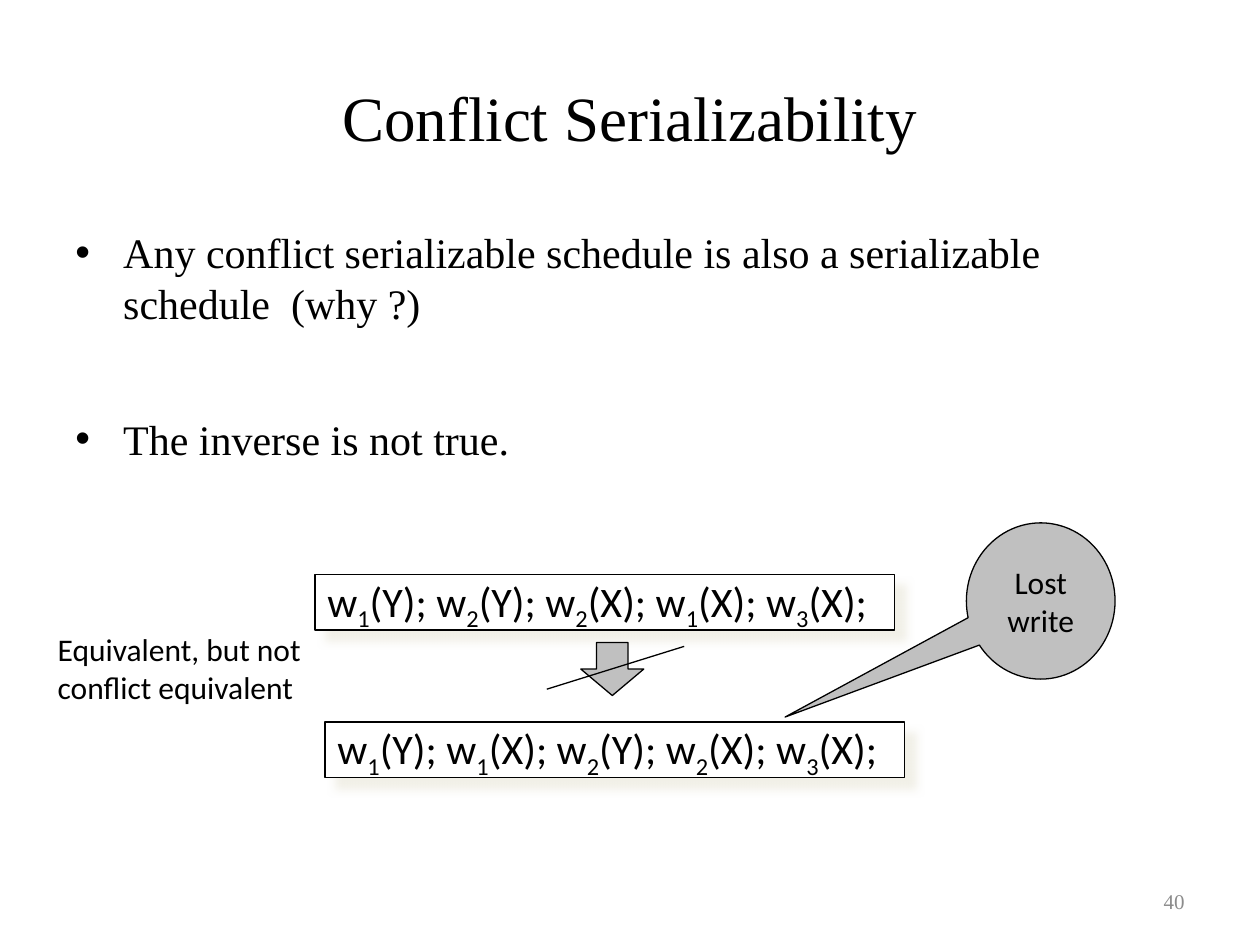
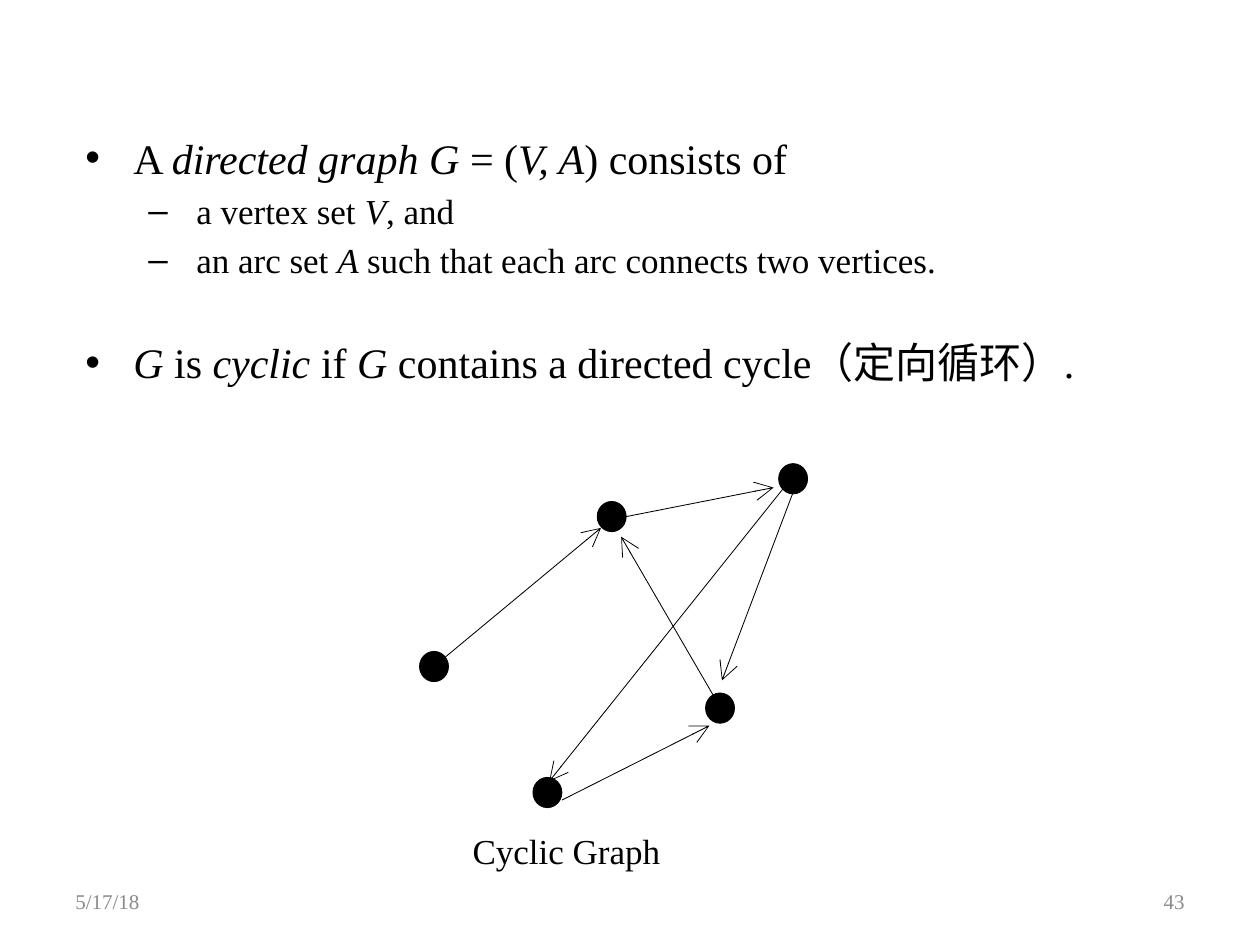
from lxml import etree
from pptx import Presentation
from pptx.dml.color import RGBColor
from pptx.enum.shapes import MSO_CONNECTOR, MSO_SHAPE
from pptx.enum.text import MSO_ANCHOR, PP_ALIGN
from pptx.oxml.ns import qn
from pptx.util import Inches, Pt

BLACK = RGBColor(0x00, 0x00, 0x00)
WHITE = RGBColor(0xFF, 0xFF, 0xFF)
SILVER = RGBColor(0xC0, 0xC0, 0xC0)
FOOTER_GREY = RGBColor(0x8C, 0x8C, 0x8C)
SHADOW_TINT = "EEECE1"
SERIF, SANS = "Times New Roman", "Calibri"
LEFT, CENTER, RIGHT = PP_ALIGN.LEFT, PP_ALIGN.CENTER, PP_ALIGN.RIGHT
TOP, MIDDLE = MSO_ANCHOR.TOP, MSO_ANCHOR.MIDDLE
STRAIGHT = MSO_CONNECTOR.STRAIGHT
RECTANGLE, OVAL = MSO_SHAPE.RECTANGLE, MSO_SHAPE.OVAL
DOWN_ARROW, CALLOUT = MSO_SHAPE.DOWN_ARROW, MSO_SHAPE.OVAL_CALLOUT
TITLE_ONLY, BLANK = 5, 6
THIN, HAIRLINE = 0.75, 0.47
BULLETS = [("•", 24, 0.38, 0.38), ("–", 20, 0.88, 0.38)]
ITALIC, SUBSCRIPT = ("i", "1"), ("baseline", "-25000")


def box_lengths(box):
    """Turn a box of inches into lengths."""
    return [Inches(value) for value in box]


def style(paragraph, font_name, size, color=BLACK, align=LEFT):
    """Set the font and alignment of a paragraph."""
    paragraph.alignment = align
    font = paragraph.font
    font.name, font.size = font_name, Pt(size)
    font.color.rgb = color


def add_marked_runs(paragraph, text, mark, attribute):
    """Add runs, giving the attribute to those between marks."""
    for index, part in enumerate(text.split(mark)):
        if part:
            run = paragraph.add_run()
            run.text = part
            if index % 2:
                run._r.get_or_add_rPr().set(*attribute)


def add_text_box(slide, box, anchor=TOP, wrap=True):
    """Add an empty text box and return its frame."""
    frame = slide.shapes.add_textbox(*box_lengths(box)).text_frame
    frame.word_wrap, frame.vertical_anchor = wrap, anchor
    return frame


def add_outlined(slide, kind, box, fill, width=THIN):
    """Add a filled preset shape with a black outline."""
    shape = slide.shapes.add_shape(kind, *box_lengths(box))
    shape.shadow.inherit = False
    shape.fill.solid()
    shape.fill.fore_color.rgb = fill
    shape.line.color.rgb = BLACK
    shape.line.width = Pt(width)
    return shape


def add_line(slide, start, end, width, arrow=False):
    """Add a straight line, with an open arrowhead on request."""
    line = slide.shapes.add_connector(STRAIGHT, *box_lengths(start + end))
    line.line.color.rgb = BLACK
    line.line.width = Pt(width)
    if arrow:
        etree.SubElement(line.line._get_or_add_ln(), qn("a:tailEnd"),
                         type="arrow", w="lg", len="lg")
    etree.SubElement(line._element.spPr, qn("a:effectLst"))


def add_title(slide, box, text):
    """Place and format the slide title."""
    title = slide.shapes.title
    title.left, title.top, title.width, title.height = box_lengths(box)
    title.text_frame.vertical_anchor = MIDDLE
    paragraph = title.text_frame.paragraphs[0]
    paragraph.text = text
    style(paragraph, SERIF, 36, align=CENTER)


def add_bullets(slide, box, items):
    """Add bulleted text from (level, space before, text) items."""
    frame = add_text_box(slide, box)
    for index, (level, space, text) in enumerate(items):
        paragraph = frame.add_paragraph() if index else frame.paragraphs[0]
        symbol, size, margin, hanging = BULLETS[level]
        paragraph.level = level
        paragraph.space_before = Pt(space)
        properties = paragraph._p.get_or_add_pPr()
        properties.set("marL", str(Inches(margin)))
        properties.set("indent", str(-Inches(hanging)))
        etree.SubElement(properties, qn("a:buFont"), typeface="Arial")
        etree.SubElement(properties, qn("a:buChar"), char=symbol)
        style(paragraph, SERIF, size)
        add_marked_runs(paragraph, text, "*", ITALIC)


def add_footer(slide, number, date=None):
    """Add the slide number and, if given, the date."""
    for left, text, align in ((0.5, date, LEFT), (7.17, number, RIGHT)):
        if text:
            frame = add_text_box(slide, (left, 6.95, 2.33, 0.4), MIDDLE)
            frame.text = text
            style(frame.paragraphs[0], SERIF, 12, FOOTER_GREY, align)


def add_schedule(slide, left, top, steps):
    """Add a shadowed box listing the writes of a schedule."""
    schedule = add_outlined(slide, RECTANGLE, (left, top, 4.6, 0.44), WHITE)
    effects = schedule._element.spPr.find(qn("a:effectLst"))
    shadow = etree.SubElement(effects, qn("a:outerShdw"), blurRad=str(Pt(5)),
                              dist=str(Pt(8.5)), dir="2700000", algn="ctr", rotWithShape="0")
    tint = etree.SubElement(shadow, qn("a:srgbClr"), val=SHADOW_TINT)
    etree.SubElement(tint, qn("a:alpha"), val="75000")
    frame = schedule.text_frame
    frame.word_wrap, frame.vertical_anchor = False, TOP
    paragraph = frame.paragraphs[0]
    paragraph.line_spacing = 0.8
    paragraph.space_before = Pt(4.8)
    style(paragraph, SANS, 24)
    writes = [f"w_{transaction}_({item});" for transaction, item in steps.split()]
    add_marked_runs(paragraph, " ".join(writes), "_", SUBSCRIPT)


def add_schedule_comparison(slide, left, top):
    """Show two schedules that are equivalent but not conflict equivalent."""
    add_schedule(slide, left + 2.22, top + 1.58, "1Y 1X 2Y 2X 3X")
    add_schedule(slide, left + 2.14, top + 0.41, "1Y 2Y 2X 1X 3X")
    add_outlined(slide, DOWN_ARROW, (left + 4.25, top + 0.95, 0.5, 0.42), SILVER)
    add_line(slide, (left + 3.98, top + 1.32), (left + 5.07, top + 0.98), THIN)

    lost_write = add_outlined(slide, CALLOUT, (left + 7.31, top, 1.18, 1.24), SILVER)
    lost_write.adjustments[0], lost_write.adjustments[1] = -1.72, 0.743
    lost_write.text_frame.word_wrap = False
    lost_write.text_frame.vertical_anchor = MIDDLE
    label = lost_write.text_frame.paragraphs[0]
    label.text = "Lost\vwrite"
    style(label, SANS, 18, align=CENTER)

    remark = add_text_box(slide, (left, top + 0.8, 2.27, 0.71), wrap=False)
    remark.text = "Equivalent, but not\nconflict equivalent"
    for paragraph in remark.paragraphs:
        style(paragraph, SANS, 18)


def add_cyclic_graph(slide, left, top):
    """Draw the vertices, arcs and caption of a cyclic graph."""
    vertices = [(1.41, 0.3), (0, 1.49), (0.9, 2.49), (2.27, 1.82), (2.85, 0)]
    arcs = [
        ((0.15, 1.58), (1.44, 0.51)),
        ((1.64, 0.42), (2.81, 0.19)),
        ((2.96, 0.24), (2.4, 1.72)),
        ((2.39, 1.94), (1.6, 0.58)),
        ((2.9, 0.18), (1.03, 2.52)),
        ((1.13, 2.67), (2.3, 2.08)),
    ]
    for x, y in vertices:
        add_outlined(slide, OVAL, (left + x, top + y, 0.23, 0.24), BLACK, HAIRLINE)
    for arc in arcs:
        start, end = [(left + x, top + y) for x, y in arc]
        add_line(slide, start, end, HAIRLINE, arrow=True)

    caption = add_text_box(slide, (left + 0.39, top + 2.9, 1.78, 0.34))
    caption.margin_left = Inches(0.03)
    caption.margin_top = caption.margin_right = caption.margin_bottom = 0
    caption.text = "Cyclic Graph"
    style(caption.paragraphs[0], SERIF, 20)


def build_serializability_slide(deck):
    """Build the slide on conflict serializability."""
    slide = deck.slides.add_slide(deck.slide_layouts[TITLE_ONLY])
    add_title(slide, (0.5, 0.3, 9, 1.25), "Conflict Serializability")
    add_bullets(slide, (0.5, 1.75, 9, 4.95), [
        (0, 4.8, "Any conflict serializable schedule is also a serializable schedule  (why ?)"),
        (0, 49, "The inverse is not true."),
    ])
    add_schedule_comparison(slide, 0.36, 4.15)
    add_footer(slide, "40")


def build_graph_slide(deck):
    """Build the slide on directed and cyclic graphs."""
    slide = deck.slides.add_slide(deck.slide_layouts[BLANK])
    add_bullets(slide, (0.58, 1, 9, 5.7), [
        (0, 4.8, "A *directed graph G *= (*V, A*) consists of"),
        (1, 4, "a vertex set *V*, and"),
        (1, 4, "an arc set *A *such that each arc connects two vertices."),
        (0, 32, "*G *is *cyclic *if *G *contains a directed cycle（定向循环）."),
    ])
    add_cyclic_graph(slide, 3.33, 3.68)
    add_footer(slide, "43", "5/17/18")


def main():
    """Build and save the presentation."""
    deck = Presentation()
    deck.slide_width, deck.slide_height = Inches(10), Inches(7.5)
    build_serializability_slide(deck)
    build_graph_slide(deck)
    deck.save("out.pptx")


if __name__ == "__main__":
    main()
